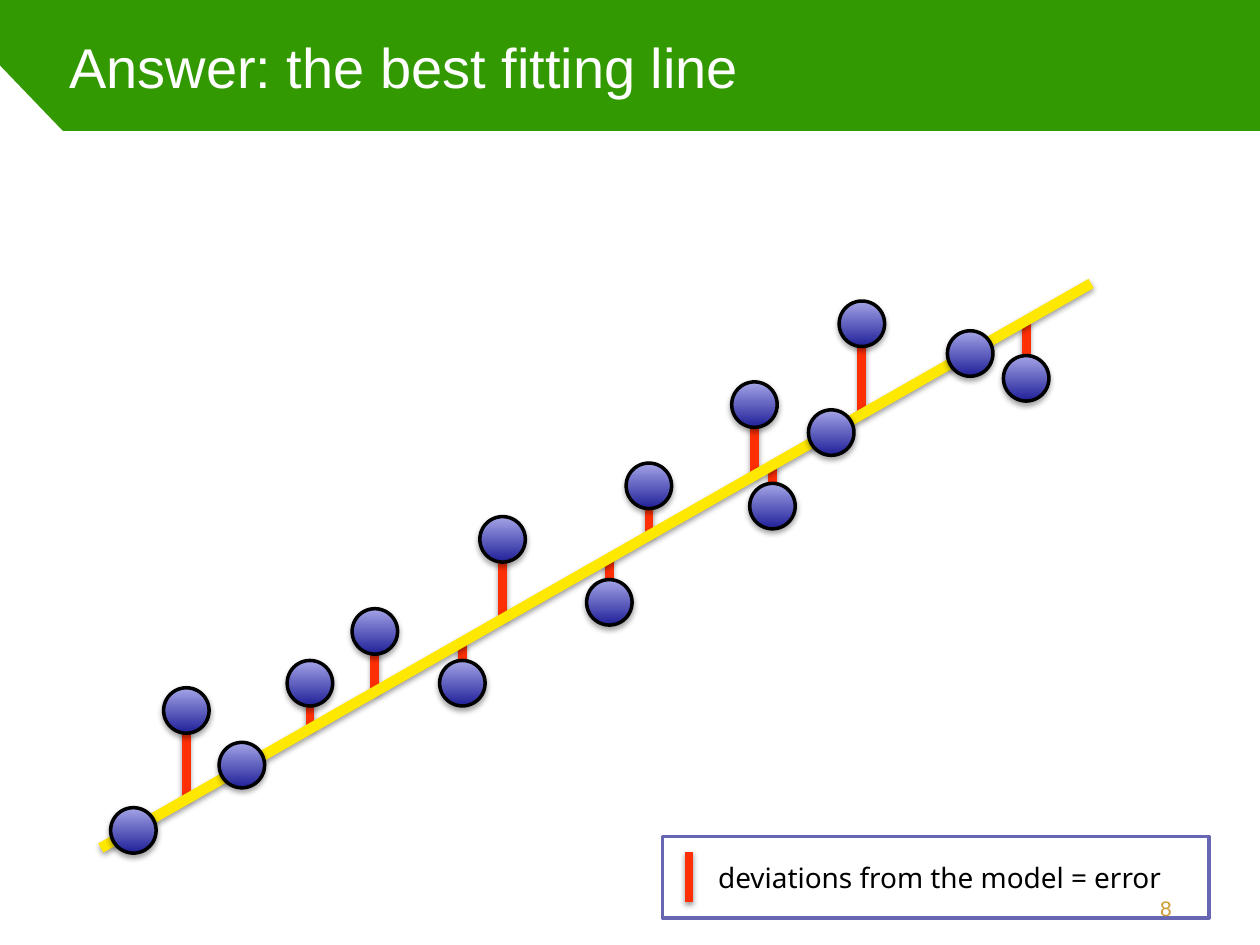
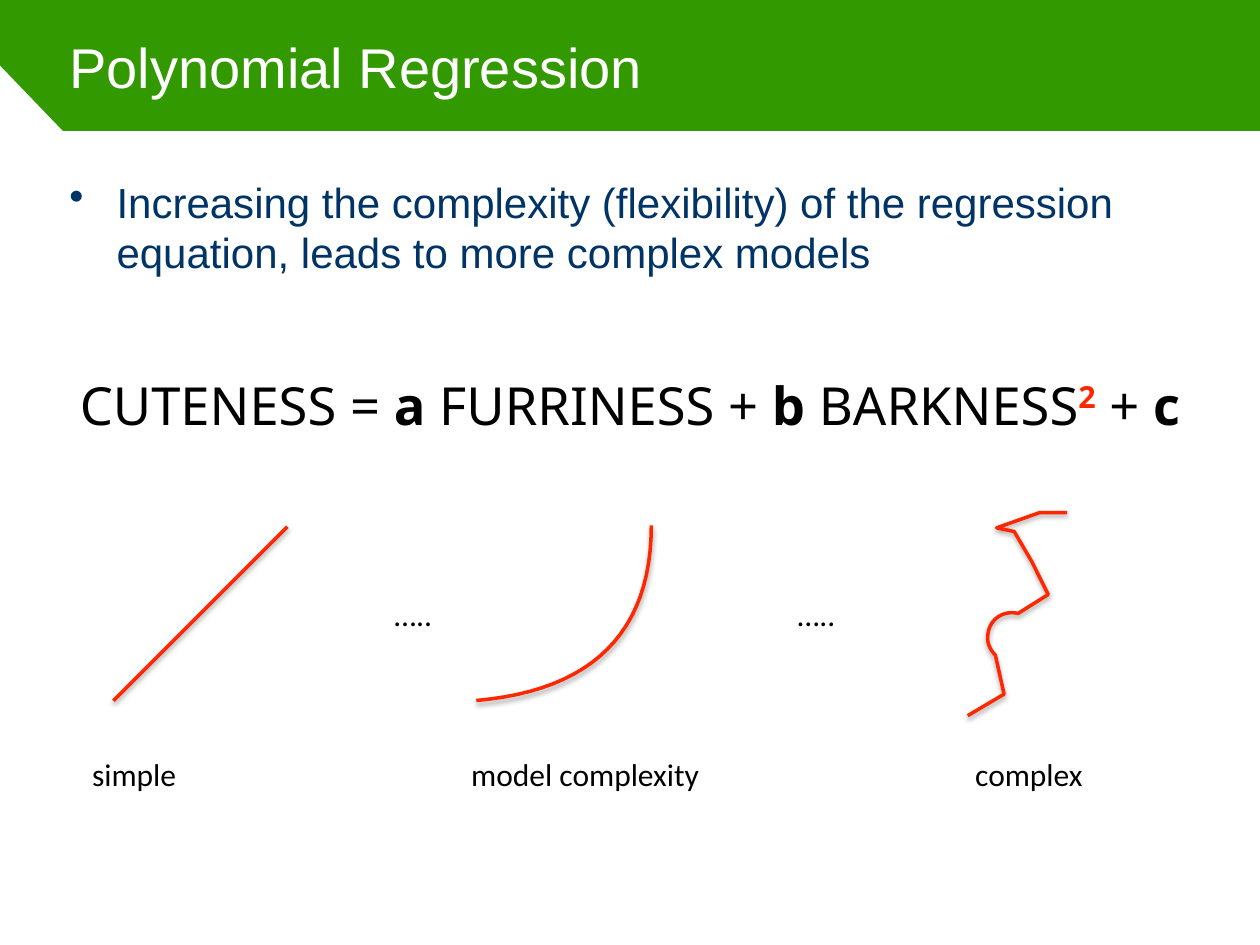
"""Builds two slides on regression: the best fitting line and model complexity."""
from lxml import etree
from pptx import Presentation
from pptx.dml.color import RGBColor
from pptx.enum.shapes import MSO_CONNECTOR, MSO_SHAPE
from pptx.enum.text import MSO_ANCHOR, PP_ALIGN
from pptx.oxml.ns import qn
from pptx.util import Pt

STRAIGHT = MSO_CONNECTOR.STRAIGHT
OVAL, RECTANGLE = MSO_SHAPE.OVAL, MSO_SHAPE.RECTANGLE
TOP, MIDDLE = MSO_ANCHOR.TOP, MSO_ANCHOR.MIDDLE
LEFT, CENTER, RIGHT = PP_ALIGN.LEFT, PP_ALIGN.CENTER, PP_ALIGN.RIGHT

GREEN = RGBColor(0x33, 0x99, 0x00)
WHITE = RGBColor(0xFF, 0xFF, 0xFF)
BLACK = RGBColor(0x00, 0x00, 0x00)
GOLD = RGBColor(0xCC, 0x99, 0x33)
NAVY = RGBColor(0x00, 0x33, 0x66)
YELLOW = RGBColor(0xFF, 0xE8, 0x00)
ERROR_RED = RGBColor(0xFF, 0x2F, 0x05)
MODEL_RED = RGBColor(0xFF, 0x26, 0x00)
DOT_DARK = RGBColor(0x20, 0x20, 0x99)
DOT_LIGHT = RGBColor(0xA4, 0xA4, 0xE7)
LEGEND_BLUE = RGBColor(0x66, 0x66, 0xB3)

WIDTH, HEIGHT, BAND = 720, 540, 75
INSET = 3.6
TITLE_BOX = (36, 0, 648, BAND)
PANEL = [(36, BAND), (0, 37.5), (0, HEIGHT), (WIDTH, HEIGHT), (WIDTH, BAND)]

FIT_START, FIT_END = (57.6, 484.6), (623.5, 162)
DOT_SIZE = 26
DOTS = [
    (106.5, 406), (76.2, 474.5), (177.1, 390.4), (138.2, 437.2), (214.2, 360.8),
    (264.2, 390.4), (287.2, 308.2), (370.8, 277.6), (348.2, 344.2), (431.1, 231.2),
    (492.5, 185), (586.4, 216.2), (475, 247.2), (441.4, 289.2), (554.4, 202),
]

BULLET = ("Increasing the complexity (flexibility) of the regression equation, "
          "leads to more complex models")
EQUATION = [
    ("CUTENESS = ", "plain"), ("a", "bold"), (" FURRINESS + ", "plain"), ("b", "bold"),
    (" BARKNESS", "plain"), ("2", "power"), (" + ", "plain"), ("c", "bold"),
]
LABEL_HEIGHT = 29.5
LABELS = [
    ("…..", 221.8, 336.2, 36), ("…..", 452.2, 336.2, 36),
    ("simple", 49, 427.7, 60.5), ("model complexity", 265.7, 427.7, 152),
    ("complex", 553.7, 427.7, 75),
]
SIMPLE_MODEL = [(64.8, 400.4), (164.2, 301)]
CURVED_MODEL = [(272.2, 400.3), [(338.4, 394.6), (372.2, 361.4), (372.2, 300.2)]]
COMPLEX_MODEL = [
    (553, 409), (573.8, 396.7), (568.8, 374.4),
    [(565.9, 371.5), (563.8, 367.2), (564.5, 362.9)],
    [(565.2, 354.2), (573.1, 348.5), (581.8, 350.6)],
    (599, 339.8), (589.7, 321.1), (579.6, 303.8), (569.5, 301.7), (594, 293), (609.8, 293),
]
CURVE_STEPS = 24


def points(values):
    return [Pt(value) for value in values]


def add_shadow(shape, opacity=35, distance=1.8):
    effects = etree.SubElement(shape._element.spPr, qn("a:effectLst"))
    shadow = etree.SubElement(effects, qn("a:outerShdw"), blurRad=str(Pt(3)),
                              dist=str(Pt(distance)), dir="5400000", rotWithShape="0")
    black = etree.SubElement(shadow, qn("a:srgbClr"), val="000000")
    etree.SubElement(black, qn("a:alpha"), val=str(opacity * 1000))


def set_line(shape, color, width):
    shape.line.color.rgb = color
    shape.line.width = Pt(width)


def add_line(page, start, end, color, width, opacity=38, distance=1.6):
    line = page.shapes.add_connector(STRAIGHT, *points(start + end))
    set_line(line, color, width)
    add_shadow(line, opacity, distance)


def add_outline(page, vertices, close):
    first, *others = [points(vertex) for vertex in vertices]
    builder = page.shapes.build_freeform(*first)
    builder.add_line_segments(others, close=close)
    return builder.convert_to_shape()


def add_text(page, box, spans, size, font, color, align=LEFT, anchor=TOP, bullet=None):
    frame = page.shapes.add_textbox(*points(box)).text_frame
    frame.word_wrap = True
    frame.vertical_anchor = anchor
    frame.margin_left = frame.margin_right = Pt(INSET)
    frame.margin_top = frame.margin_bottom = Pt(INSET)
    para = frame.paragraphs[0]
    if bullet:
        properties = para._p.get_or_add_pPr()
        properties.set("marL", str(Pt(27)))
        properties.set("indent", str(-Pt(27)))
        etree.SubElement(properties, qn("a:buChar"), char=bullet)
    para.alignment = align
    para.font.size = Pt(size)
    para.font.name = font
    para.font.color.rgb = color
    for text, style in spans:
        span = para.add_run()
        span.text = text
        if style != "plain":
            span.font.bold = True
        if style == "power":
            span.font.color.rgb = MODEL_RED
            span._r.get_or_add_rPr().set("baseline", "32000")


def add_page(deck, title):
    page = deck.slides.add_slide(deck.slide_layouts[6])
    page.background.fill.solid()
    page.background.fill.fore_color.rgb = GREEN
    panel = add_outline(page, PANEL, close=True)
    panel.shadow.inherit = False
    panel.fill.solid()
    panel.fill.fore_color.rgb = WHITE
    panel.line.fill.background()
    add_text(page, TITLE_BOX, [(title, "plain")], 32, "Arial", WHITE, anchor=MIDDLE)
    return page


def fit_height(x):
    (x0, y0), (x1, y1) = FIT_START, FIT_END
    return y0 + (y1 - y0) * (x - x0) / (x1 - x0)


def add_dot(page, x, y):
    radius = DOT_SIZE / 2
    dot = page.shapes.add_shape(OVAL, *points((x - radius, y - radius, DOT_SIZE, DOT_SIZE)))
    dot.fill.gradient()
    dot.fill.gradient_angle = 90
    for stop, color in zip(dot.fill.gradient_stops, (DOT_DARK, DOT_LIGHT)):
        stop.color.rgb = color
    set_line(dot, BLACK, 2)
    add_shadow(dot)


def flatten(steps):
    vertices = []
    for step in steps:
        if isinstance(step, tuple):
            vertices.append(step)
            continue
        controls = [vertices[-1], *step]
        for index in range(1, CURVE_STEPS + 1):
            t = index / CURVE_STEPS
            weights = ((1 - t) ** 3, 3 * t * (1 - t) ** 2, 3 * t ** 2 * (1 - t), t ** 3)
            vertices.append(tuple(sum(w * control[axis] for w, control in zip(weights, controls))
                                  for axis in (0, 1)))
    return vertices


def build_fit_page(deck):
    page = add_page(deck, "Answer: the best fitting line")
    for x, y in DOTS:
        foot = fit_height(x)
        if abs(foot - y) > DOT_SIZE / 2:
            add_line(page, (x, y), (x, foot), ERROR_RED, 5)
    add_line(page, FIT_START, FIT_END, YELLOW, 6)
    for x, y in DOTS:
        add_dot(page, x, y)
    legend = page.shapes.add_shape(RECTANGLE, *points((378.5, 478, 312.5, 46.5)))
    legend.shadow.inherit = False
    legend.fill.background()
    set_line(legend, LEGEND_BLUE, 2)
    add_line(page, (393.8, 515.5), (393.8, 486.7), ERROR_RED, 5)
    add_text(page, (406.8, 488.2, 280.8, 25.2), [("deviations from the model = error", "plain")],
             16, "Noto Sans", BLACK)
    add_text(page, (658, 508.5, 15.2, 21), [("8", "plain")], 12, "Arial", GOLD, RIGHT, MIDDLE)


def build_polynomial_page(deck):
    page = add_page(deck, "Polynomial Regression")
    add_text(page, (36, 97.2, 648, 98.6), [(BULLET, "plain")], 24, "Arial", NAVY, bullet="•")
    add_text(page, (24.5, 209.5, 671, 42.5), EQUATION, 30, "Noto Sans", BLACK, CENTER)
    add_line(page, *SIMPLE_MODEL, MODEL_RED, 2, 35, 1.8)
    for model in (CURVED_MODEL, COMPLEX_MODEL):
        curve = add_outline(page, flatten(model), close=False)
        curve.fill.background()
        set_line(curve, MODEL_RED, 2)
        add_shadow(curve)
    for text, left, top, width in LABELS:
        add_text(page, (left, top, width, LABEL_HEIGHT), [(text, "plain")], 18, "Calibri", BLACK)


def main():
    deck = Presentation()
    deck.slide_width, deck.slide_height = Pt(WIDTH), Pt(HEIGHT)
    build_fit_page(deck)
    build_polynomial_page(deck)
    deck.save("out.pptx")


if __name__ == "__main__":
    main()
